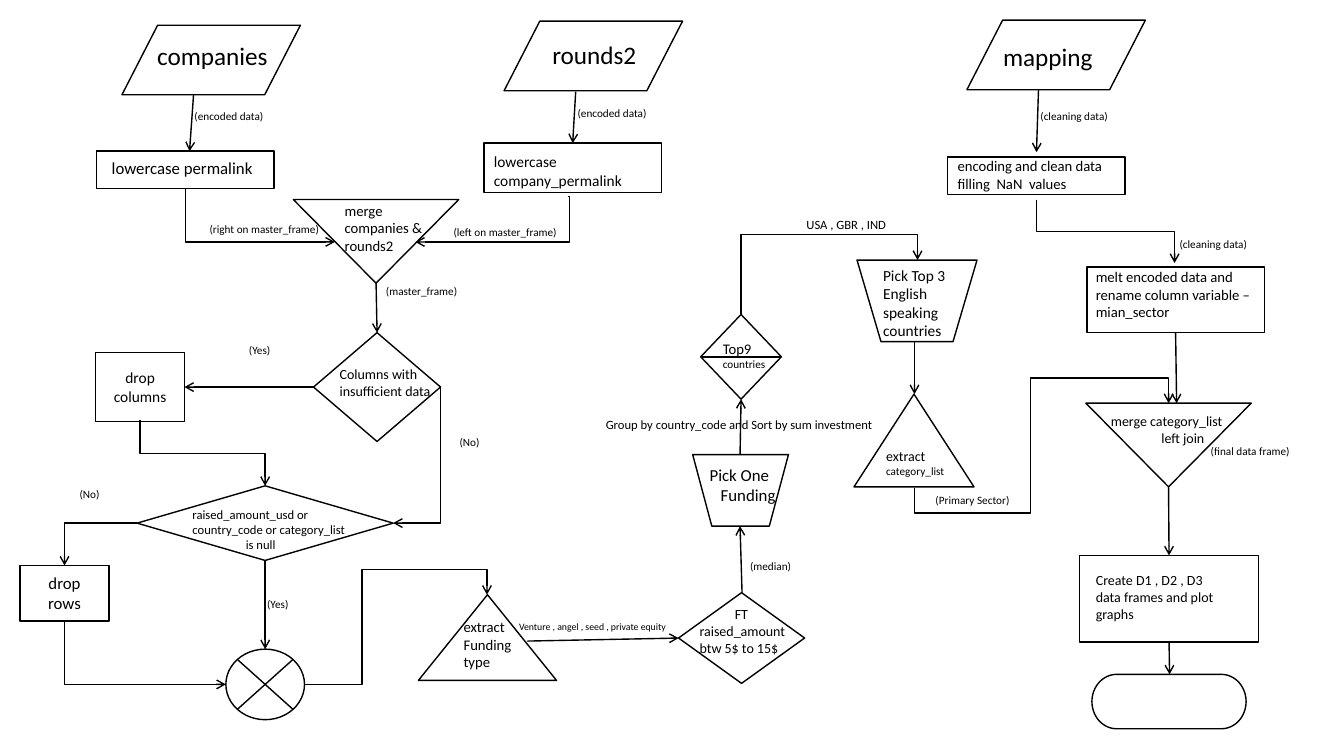
from dataclasses import dataclass

from lxml import etree
from pptx import Presentation
from pptx.dml.color import RGBColor
from pptx.enum.shapes import MSO_CONNECTOR, MSO_SHAPE
from pptx.enum.text import MSO_ANCHOR, PP_ALIGN
from pptx.oxml.ns import qn
from pptx.util import Inches, Pt

BLACK = RGBColor(0x00, 0x00, 0x00)
FONT = "Calibri"
DATA = MSO_SHAPE.FLOWCHART_DATA
PROCESS = MSO_SHAPE.FLOWCHART_PROCESS
MERGE = MSO_SHAPE.FLOWCHART_MERGE
DECISION = MSO_SHAPE.FLOWCHART_DECISION
JUNCTION = MSO_SHAPE.FLOWCHART_SUMMING_JUNCTION
EXTRACT = MSO_SHAPE.FLOWCHART_EXTRACT
MANUAL = MSO_SHAPE.FLOWCHART_MANUAL_OPERATION
SORT = MSO_SHAPE.FLOWCHART_SORT
TERMINATOR = MSO_SHAPE.FLOWCHART_TERMINATOR
STRAIGHT = MSO_CONNECTOR.STRAIGHT
ELBOW = MSO_CONNECTOR.ELBOW
LEFT, CENTER = PP_ALIGN.LEFT, PP_ALIGN.CENTER
MIDDLE = MSO_ANCHOR.MIDDLE
TOP_SIDE, LEFT_SIDE, BOTTOM_SIDE, RIGHT_SIDE = range(4)


@dataclass
class Box:
    slide: object
    left: float
    top: float

    def place(self, x, y):
        return Inches(self.left + x), Inches(self.top + y)


def write(shape, text, size=8, last_size=None, last_indent=0, align=LEFT, wrap=True):
    frame = shape.text_frame
    frame.word_wrap = wrap
    lines = text.split("\n")
    for index, line in enumerate(lines):
        para = frame.paragraphs[0] if index == 0 else frame.add_paragraph()
        para.alignment = align
        last = index == len(lines) - 1
        if last and last_indent:
            para._p.get_or_add_pPr().set("marL", str(Inches(last_indent)))
        span = para.add_run()
        span.text = line
        span.font.name = FONT
        span.font.size = Pt(last_size if last and last_size else size)
        span.font.color.rgb = BLACK


def add_node(box, kind, x, y, width, height, text="", size=11):
    shape = box.slide.shapes.add_shape(kind, *box.place(x, y), Inches(width), Inches(height))
    shape.shadow.inherit = False
    shape.fill.background()
    shape.line.color.rgb = BLACK
    shape.line.width = Pt(1)
    if text:
        shape.text_frame.vertical_anchor = MIDDLE
        write(shape, text, size=size, align=CENTER)
    return shape


def add_text(box, x, y, width, height, text, **style):
    shape = box.slide.shapes.add_textbox(*box.place(x, y), Inches(width), Inches(height))
    write(shape, text, **style)
    return shape


def add_label(box, x, y, width, text, size=8):
    add_text(box, x, y, width, 0.24, text, size=size, wrap=False)


def style_arrow(arrow):
    arrow.line.color.rgb = BLACK
    arrow.line.width = Pt(1)
    etree.SubElement(arrow.line._get_or_add_ln(), qn("a:tailEnd"), type="arrow")
    etree.SubElement(arrow._element.spPr, qn("a:effectLst"))


def add_arrow(box, start, end, begin=None, finish=None):
    arrow = box.slide.shapes.add_connector(STRAIGHT, *box.place(*start), *box.place(*end))
    if begin:
        arrow.begin_connect(*begin)
    if finish:
        arrow.end_connect(*finish)
    style_arrow(arrow)


def add_elbow(box, *points):
    (x0, y0), (x1, y1) = points[0], points[-1]
    dx, dy = x1 - x0, y1 - y0
    upright = points[1][0] == x0
    width, height = (abs(dy), abs(dx)) if upright else (abs(dx), abs(dy))
    if upright:
        turn = 270 if dx > 0 and dy > 0 else 90
        flip_h, flip_v = dx > 0, dx > 0 and dy < 0
    else:
        turn = 180 if dx < 0 else 0
        flip_h, flip_v = False, (dx < 0) == (dy > 0)
    x, y = (x0 + x1 - width) / 2, (y0 + y1 - height) / 2
    arrow = box.slide.shapes.add_connector(
        ELBOW, *box.place(x, y), *box.place(x + width, y + height))
    frame = arrow._element.spPr.find(qn("a:xfrm"))
    for name, value in (("rot", turn * 60000), ("flipH", int(flip_h)), ("flipV", int(flip_v))):
        if value:
            frame.set(name, str(value))
    geometry = arrow._element.spPr.find(qn("a:prstGeom"))
    geometry.set("prst", f"bentConnector{len(points) - 1}")
    guides = geometry.find(qn("a:avLst"))
    if guides is None:
        guides = etree.SubElement(geometry, qn("a:avLst"))
    for index, (px, py) in enumerate(points[1:-2], start=1):
        along_y = upright == (index % 2 == 1)
        share = (py - y0) / dy if along_y else (px - x0) / dx
        etree.SubElement(guides, qn("a:gd"), name=f"adj{index}",
                         fmla=f"val {round(share * 100000)}")
    style_arrow(arrow)


def add_source(box, x, y, name, name_x, name_y, width):
    add_node(box, DATA, x, y, 1.77, 0.69)
    add_text(box, name_x, name_y, width, 0.4, name, size=18, wrap=False)


def draw_merging(box):
    add_source(box, 0.31, 0.05, "companies", 0.56, 0.15, 1.31)
    add_source(box, 4.1, 0.01, "rounds2", 4.48, 0.14, 1.04)
    add_node(box, PROCESS, 0.06, 1.3, 1.76, 0.37)
    rounds_step = add_node(box, PROCESS, 3.9, 1.22, 1.76, 0.49)
    add_text(box, 0.11, 1.32, 1.76, 0.3, "lowercase permalink", size=12)
    add_text(box, 3.9, 1.26, 1.76, 0.48, "lowercase\ncompany_permalink", size=11)
    add_node(box, MERGE, 2.01, 1.78, 1.64, 0.83)
    add_text(box, 2.42, 1.75, 1.08, 0.63, "merge companies & rounds2", size=10.5)
    add_arrow(box, (1.02, 0.74), (0.98, 1.3))
    add_arrow(box, (4.81, 0.71), (4.78, 1.22), finish=(rounds_step, TOP_SIDE))
    add_elbow(box, (0.94, 1.68), (0.94, 2.2), (2.42, 2.2))
    add_elbow(box, (4.73, 1.75), (4.75, 1.75), (4.75, 2.2), (3.22, 2.2))
    add_label(box, 0.93, 0.84, 0.9, "(encoded data)")
    add_label(box, 4.73, 0.81, 0.9, "(encoded data)")
    add_label(box, 3.5, 1.99, 1.24, "(left on master_frame)")
    add_label(box, 1.08, 1.96, 1.3, "(right on master_frame)")
    add_label(box, 2.83, 2.57, 0.94, "(master_frame)")


def draw_cleaning(box):
    columns = add_node(box, DECISION, 2.91, 0, 1.26, 1.08)
    add_text(box, 3.07, 0.28, 1.19, 0.44, "Columns with insufficient data", size=10)
    drop = add_node(box, PROCESS, 0.75, 0.2, 0.88, 0.68, "drop\ncolumns", size=11)
    add_node(box, DECISION, 1.16, 1.52, 2.54, 0.74)
    add_text(box, 1.61, 1.68, 2.05, 0.56,
             "raised_amount_usd or\ncountry_code or category_list\nis null",
             size=9, last_indent=0.53)
    add_node(box, PROCESS, 0, 2.31, 0.88, 0.55, "drop\nrows", size=12)
    add_node(box, JUNCTION, 2.04, 3.14, 0.78, 0.7)
    add_arrow(box, (2.91, 0.54), (1.63, 0.53), (columns, LEFT_SIDE), (drop, RIGHT_SIDE))
    add_arrow(box, (2.43, 2.26), (2.43, 3.14))
    add_elbow(box, (1.19, 0.87), (1.19, 1.2), (2.43, 1.2), (2.43, 1.52))
    add_elbow(box, (1.16, 1.89), (0.44, 1.89), (0.44, 2.31))
    add_elbow(box, (0.44, 2.86), (0.44, 3.49), (2.04, 3.49))
    add_elbow(box, (4.17, 0.53), (4.17, 1.89), (3.7, 1.89))
    for x, y, answer in ((2.17, 0.06, "(Yes)"), (4.26, 0.97, "(No)"),
                         (2.35, 2.58, "(Yes)"), (0.49, 1.49, "(No)")):
        add_label(box, x, y, 0.42, answer)


def draw_funding(box):
    add_node(box, EXTRACT, 0, 2.8, 1.37, 0.85)
    add_text(box, 0.35, 2.98, 0.84, 0.63, "extract Funding type", size=10.5)
    add_node(box, DECISION, 2.58, 2.78, 1.25, 0.9)
    add_text(box, 3.04, 2.86, 0.5, 0.25, "FT", size=10)
    add_text(box, 2.69, 3.03, 1.12, 0.44, "raised_amount\nbtw 5$ to 15$", size=10)
    add_node(box, MANUAL, 2.72, 1.41, 0.95, 0.71)
    add_text(box, 2.79, 1.46, 0.95, 0.5, "Pick One\nFunding", size=12, last_indent=0.11)
    add_node(box, SORT, 2.8, 0.02, 0.8, 0.84)
    add_text(box, 2.92, 0.22, 0.71, 0.41, "Top9\ncountries", size=10.5, last_size=8)
    add_arrow(box, (1.08, 3.26), (2.58, 3.23))
    add_arrow(box, (3.21, 2.78), (3.19, 2.12))
    add_arrow(box, (3.19, 1.41), (3.2, 0.86))
    add_label(box, 0.9, 3.01, 1.7, "Venture , angel , seed , private equity", size=7)
    add_label(box, 3.19, 2.4, 0.61, "(median)")
    add_label(box, 1.76, 0.99, 2.88, "Group by country_code and Sort by sum investment", size=9)


def draw_countries(box):
    add_node(box, MANUAL, 0.1, 0.08, 1.19, 0.81)
    add_text(box, 0.26, 0.09, 1.2, 0.84, "Pick Top 3 English speaking countries", size=11)
    add_node(box, EXTRACT, 0.07, 1.41, 1.19, 0.92)
    add_text(box, 0.29, 1.89, 0.83, 0.4, "extract\ncategory_list", size=10, last_size=8)
    add_arrow(box, (0.67, 0.89), (0.67, 1.41))
    add_label(box, 0.78, 2.34, 0.94, "(Primary Sector)")


def draw_mapping(box):
    add_source(box, 0.19, 0, "mapping", 0.45, 0.16, 1.1)
    add_node(box, PROCESS, 0, 1.36, 1.76, 0.37)
    encoding = add_text(box, 0, 1.31, 1.76, 0.47,
                        "encoding and clean data filling  NaN  values", size=10.5)
    melt = add_node(box, PROCESS, 1.38, 2.45, 1.76, 0.65)
    add_text(box, 1.37, 2.41, 1.76, 0.63,
             "melt encoded data and rename column variable – mian_sector", size=10.5)
    add_node(box, MERGE, 1.37, 3.8, 1.64, 0.83)
    add_text(box, 1.52, 3.84, 1.36, 0.44, "merge category_list\nleft join",
             size=10, last_indent=0.5, wrap=False)
    create = add_node(box, PROCESS, 1.31, 5.31, 1.77, 0.86)
    add_text(box, 1.37, 5.42, 1.65, 0.61,
             "Create D1 , D2 , D3\ndata frames and plot graphs", size=10)
    add_node(box, TERMINATOR, 1.43, 6.49, 1.53, 0.54)
    add_arrow(box, (0.9, 0.69), (0.88, 1.31), finish=(encoding, TOP_SIDE))
    add_elbow(box, (0.88, 1.78), (0.88, 2.1), (2.25, 2.1), (2.25, 2.41))
    add_arrow(box, (2.27, 3.1), (2.27, 3.8), begin=(melt, BOTTOM_SIDE))
    add_arrow(box, (2.19, 4.63), (2.19, 5.31), finish=(create, TOP_SIDE))
    add_arrow(box, (2.19, 6.17), (2.2, 6.49), begin=(create, BOTTOM_SIDE))
    add_label(box, 0.82, 0.84, 0.88, "(cleaning data)")
    add_label(box, 2.2, 2.11, 0.88, "(cleaning data)")
    add_label(box, 2.51, 4.16, 1, "(final data frame)")


def draw_region_links(box):
    add_arrow(box, (3.73, 2.81), (3.74, 3.3))
    add_elbow(box, (3.03, 6.79), (3.59, 6.79), (3.59, 5.65), (4.83, 5.65), (4.83, 5.9))
    add_elbow(box, (7.35, 3.12), (7.35, 2.33), (9.1, 2.33), (9.1, 2.58))
    add_label(box, 7.9, 2.1, 0.99, "USA , GBR , IND", size=9)
    add_elbow(box, (9.07, 4.84), (9.07, 5.09), (10.22, 5.09), (10.22, 3.75),
              (11.59, 3.75), (11.59, 4))


def main():
    deck = Presentation()
    deck.slide_width, deck.slide_height = Inches(13.33), Inches(7.5)
    page = deck.slides.add_slide(deck.slide_layouts[6])
    draw_merging(Box(page, 0.9, 0.2))
    draw_cleaning(Box(page, 0.2, 3.3))
    draw_funding(Box(page, 4.15, 3.1))
    draw_countries(Box(page, 8.4, 2.5))
    draw_mapping(Box(page, 9.4, 0.2))
    draw_region_links(Box(page, 0, 0))
    deck.save("out.pptx")


if __name__ == "__main__":
    main()
